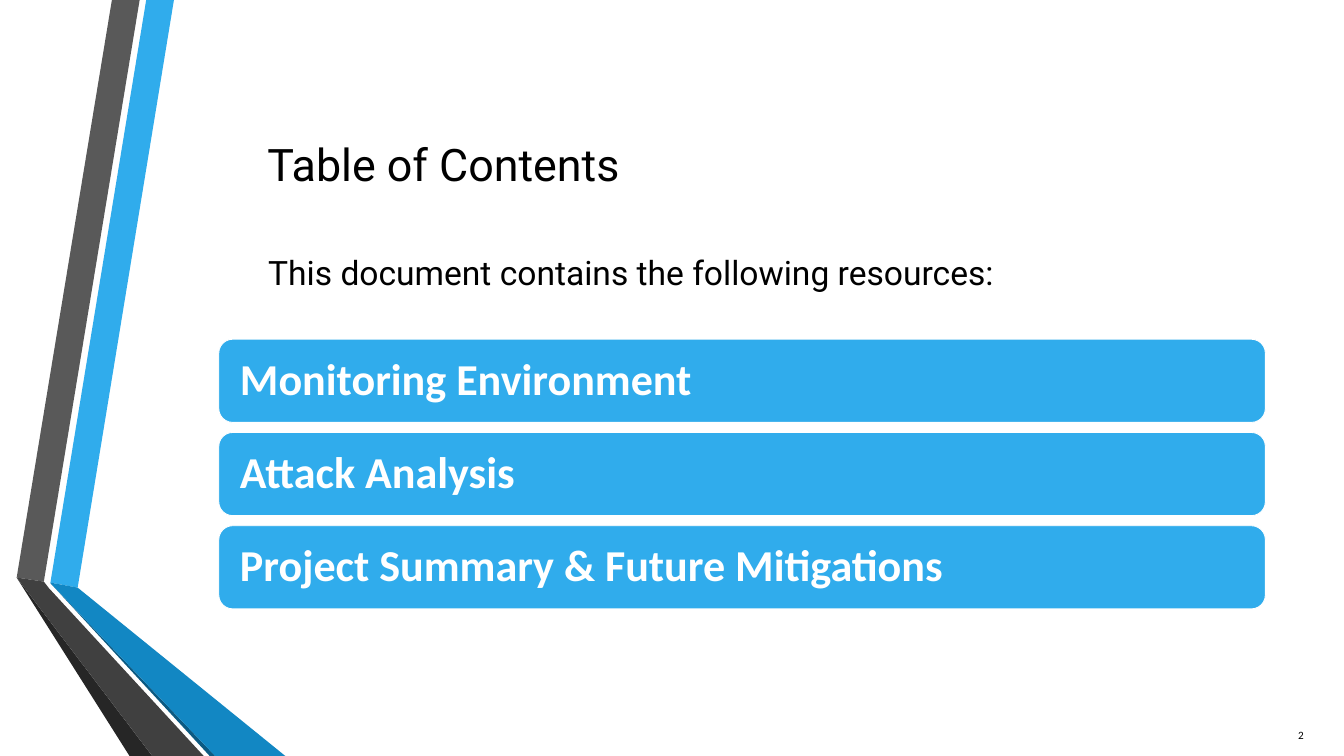
import pptx
import pptx.util
import pptx.dml.color
import pptx.enum.shapes
import pptx.enum.text

Pt = pptx.util.Pt
ANCHOR = pptx.enum.text.MSO_ANCHOR
ALIGN = pptx.enum.text.PP_ALIGN

# Content
TITLE = "Table of Contents"
INTRO = "This document contains the following resources:"
SECTIONS = [
    "Monitoring Environment",
    "Attack Analysis",
    "Project Summary & Future Mitigations",
]
PAGE_NUMBER = "2"

# Lengths in points
WIDTH, HEIGHT = 1919.5, 1080
BAR_LEFT, BAR_TOP, BAR_WIDTH, BAR_HEIGHT = 312.5, 484.6, 1494.7, 118.8
BAR_GAP = 14.4
BAR_INSET = 24.5
SKY = "30ACEC"

# Ribbon pieces from back to front: colour, corner points
RIBBONS = [
    (SKY, [(72, 832.3), (110.9, 839.5), (248.4, 0), (208.8, 0)]),
    ("595959", [(199.4, 0), (159.8, 0), (23.8, 825.1), (62.6, 830.9)]),
    ("262626", [(23.8, 825.1), (185, HEIGHT), (217.4, HEIGHT)]),
    ("0C5A82", [(72, 833), (299.5, HEIGHT), (307.4, HEIGHT)]),
    ("1287C3", [(72, 833), (307.4, HEIGHT), (407.5, HEIGHT), (110.9, 839.5), (72, 832.3)]),
    ("404040", [(290.9, HEIGHT), (69.8, 840.2), (62.6, 830.9), (23.8, 825.1), (217.4, HEIGHT)]),
]


def colour(code):
    return pptx.dml.color.RGBColor.from_string(code)


def apply(target, values):
    for name, value in values.items():
        setattr(target, name, value)


def place(shape, left, top, width, height):
    apply(shape, {"left": Pt(left), "top": Pt(top), "width": Pt(width), "height": Pt(height)})


def paint(shape, fill):
    shape.shadow.inherit = False
    shape.fill.solid()
    shape.fill.fore_color.rgb = colour(fill)
    shape.line.fill.background()


def write(shape, text, font, size, ink, bold=False, align=ALIGN.LEFT,
          anchor=ANCHOR.MIDDLE, inset=0):
    frame = shape.text_frame
    apply(frame, {
        "word_wrap": True,
        "auto_size": pptx.enum.text.MSO_AUTO_SIZE.NONE,
        "vertical_anchor": anchor,
        "margin_left": Pt(inset), "margin_right": Pt(inset),
        "margin_top": 0, "margin_bottom": 0,
    })
    para = frame.paragraphs[0]
    apply(para, {"alignment": align, "space_before": Pt(0)})
    span = para.add_run()
    span.text = text
    apply(span.font, {"name": font, "size": Pt(size), "bold": bold})
    span.font.color.rgb = colour(ink)


def main():
    deck = pptx.Presentation()
    apply(deck, {"slide_width": Pt(WIDTH), "slide_height": Pt(HEIGHT)})
    page = deck.slides.add_slide(deck.slide_layouts[0])
    title, intro = page.placeholders

    # Folded ribbons on the left
    for fill, corners in RIBBONS:
        points = [(Pt(x), Pt(y)) for x, y in corners]
        builder = page.shapes.build_freeform(*points[0])
        builder.add_line_segments(points[1:], close=True)
        paint(builder.convert_to_shape(), fill)

    # Title and introduction
    place(title, 382, 183, 1400, 100)
    write(title, TITLE, "Roboto", 64, "000000")
    place(intro, 383, 348, 1400, 80)
    write(intro, INTRO, "Roboto", 48, "000000")

    # Section bars
    for index, section in enumerate(SECTIONS):
        bar = page.shapes.add_shape(
            pptx.enum.shapes.MSO_SHAPE.ROUNDED_RECTANGLE, 0, 0, 0, 0)
        place(bar, BAR_LEFT, BAR_TOP + index * (BAR_HEIGHT + BAR_GAP), BAR_WIDTH, BAR_HEIGHT)
        paint(bar, SKY)
        bar.line.color.rgb = colour("FFFFFF")
        bar.line.width = Pt(1.25)
        write(bar, section, "Calibri", 63, "FFFFFF", bold=True, inset=BAR_INSET)
        bar.text_frame.paragraphs[0].line_spacing = 0.9

    # Page number
    number = page.shapes.add_textbox(0, 0, 0, 0)
    place(number, 1807, 1041, 55, 22)
    write(number, PAGE_NUMBER, "Calibri", 16, "000000", align=ALIGN.RIGHT, anchor=ANCHOR.TOP)

    deck.save("out.pptx")


if __name__ == "__main__":
    main()
